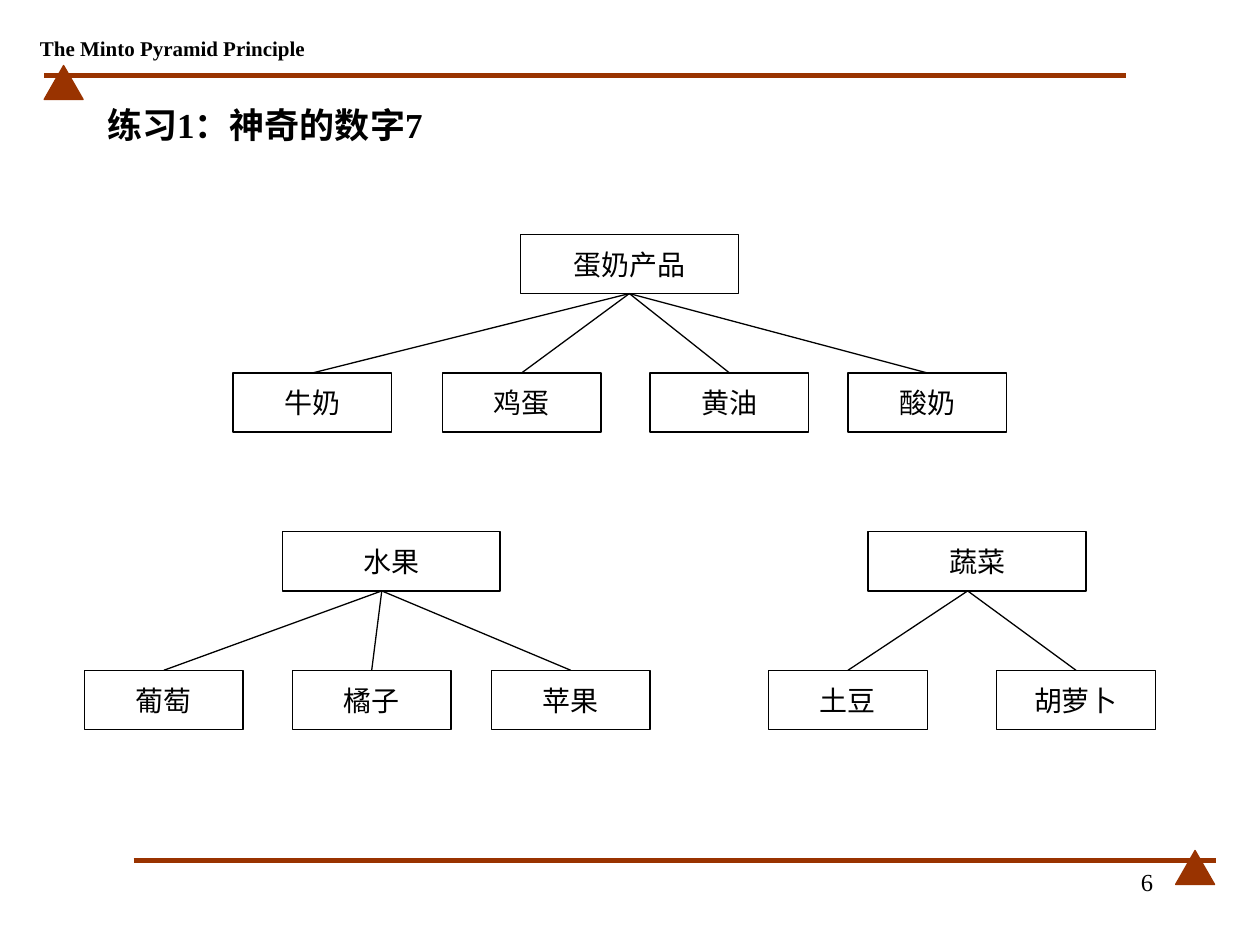
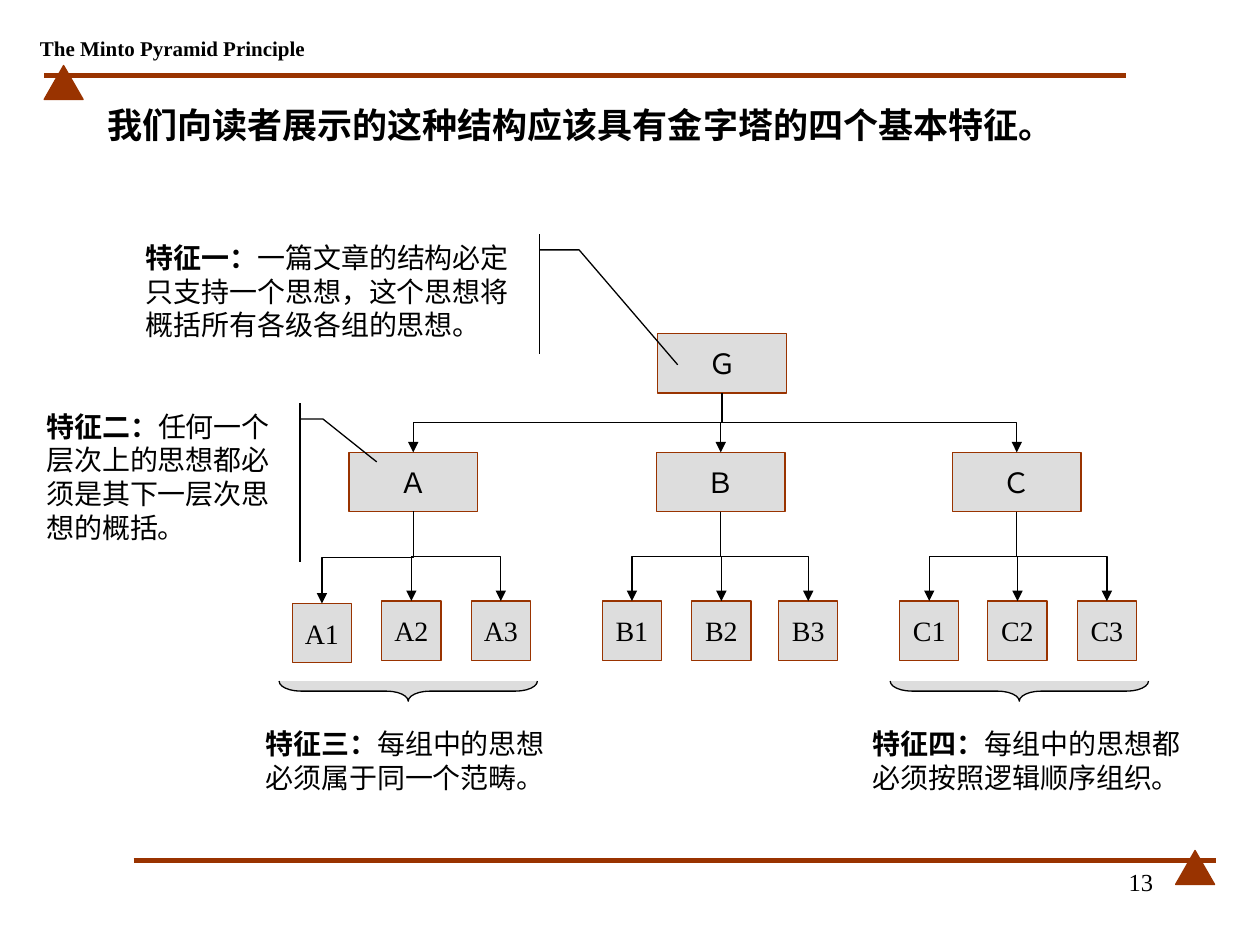
from dataclasses import dataclass

from pptx import Presentation
from pptx.dml.color import RGBColor
from pptx.enum.shapes import MSO_CONNECTOR, MSO_SHAPE
from pptx.enum.text import MSO_ANCHOR, MSO_AUTO_SIZE, PP_ALIGN
from pptx.oxml.ns import qn
from pptx.util import Inches, Pt

RECT, TRIANGLE = MSO_SHAPE.RECTANGLE, MSO_SHAPE.ISOSCELES_TRIANGLE
BRACE, CALLOUT = MSO_SHAPE.LEFT_BRACE, MSO_SHAPE.LINE_CALLOUT_2_ACCENT_BAR
STRAIGHT, ELBOW = MSO_CONNECTOR.STRAIGHT, MSO_CONNECTOR.ELBOW
LEFT, CENTER, RIGHT = PP_ALIGN.LEFT, PP_ALIGN.CENTER, PP_ALIGN.RIGHT
TOP, MIDDLE = MSO_ANCHOR.TOP, MSO_ANCHOR.MIDDLE
NO_AUTOFIT = MSO_AUTO_SIZE.NONE

BLACK = RGBColor(0x00, 0x00, 0x00)
RUST = RGBColor(0x99, 0x33, 0x00)
GREY = RGBColor(0xDD, 0xDD, 0xDD)
FONT = "Times New Roman"
BOX_HEIGHT = 0.47
TITLE_ONLY = 5


@dataclass(frozen=True)
class Node:
    text: str
    left: float
    top: float
    width: float

    @property
    def center(self) -> float:
        return self.left + self.width / 2

    @property
    def bottom(self) -> float:
        return self.top + BOX_HEIGHT


@dataclass(frozen=True)
class Tree:
    root: Node
    children: list[Node]
    apex: float | None = None


@dataclass(frozen=True)
class Feature:
    lead: str
    text: str
    box: tuple[float, float, float, float]
    pointer: tuple[float, ...] = ()


def category(text: str, left: float, top: float) -> Node:
    return Node(text, left, top, 1.73)


def items(top: float, **lefts: float) -> list[Node]:
    return [Node(text, left, top, 1.26) for text, left in lefts.items()]


def leaves(**lefts: float) -> list[Node]:
    return [Node(text, left, 4.77, 0.47) for text, left in lefts.items()]


FOOD_TREES = [
    Tree(category("蛋奶产品", 4.13, 1.86),
         items(2.96, 牛奶=1.85, 鸡蛋=3.51, 黄油=5.16, 酸奶=6.73)),
    Tree(category("水果", 2.24, 4.22),
         items(5.32, 葡萄=0.67, 橘子=2.32, 苹果=3.9), apex=3.03),
    Tree(category("蔬菜", 6.89, 4.22),
         items(5.32, 土豆=6.1, 胡萝卜=7.91), apex=7.68),
]

GOAL = Node("Ｇ", 5.22, 2.65, 1.02)
BRANCHES = [
    Tree(Node("Ａ", 2.77, 3.59, 1.02),
         [Node("A1", 2.32, 4.79, 0.47), *leaves(A2=3.03, A3=3.74)]),
    Tree(Node("Ｂ", 5.21, 3.59, 1.02), leaves(B1=4.78, B2=5.49, B3=6.18)),
    Tree(Node("Ｃ", 7.56, 3.59, 1.02), leaves(C1=7.14, C2=7.84, C3=8.55)),
]
FEATURES = [
    Feature("特征一：", "一篇文章的结构必定只支持一个思想，这个思想将概括所有各级各组的思想。",
            (1.06, 1.86, 3.13, 0.95), (0.13, 1.03, 0.13, 1.13, 1.09, 1.38)),
    Feature("特征二：", "任何一个层次上的思想都必须是其下一层次思想的概括。",
            (0.27, 3.2, 2.03, 1.26), (0.1, 1.04, 0.1, 1.13, 0.37, 1.34)),
    Feature("特征三：", "每组中的思想必须属于同一个范畴。", (2.01, 5.72, 2.43, 0.79)),
    Feature("特征四：", "每组中的思想都必须按照逻辑顺序组织。", (6.83, 5.72, 2.68, 0.87)),
]


def write(tf, text: str, *, lead: str = "", size: float = 16, bold: bool = False,
          align=LEFT, anchor=TOP, wrap: bool = True) -> None:
    tf.word_wrap = wrap
    tf.auto_size = NO_AUTOFIT
    tf.vertical_anchor = anchor
    p = tf.paragraphs[0]
    p.alignment = align
    for part, heavy in ((lead, True), (text, bold)):
        if part:
            r = p.add_run()
            r.text = part
            r.font.name = FONT
            r.font.size = Pt(size)
            r.font.bold = heavy
            r.font.color.rgb = BLACK


def add_shape(s, kind, left: float, top: float, width: float, height: float, *,
              fill: RGBColor | None = None, line: RGBColor = BLACK):
    sp = s.shapes.add_shape(kind, Inches(left), Inches(top), Inches(width), Inches(height))
    sp.shadow.inherit = False
    if fill is None:
        sp.fill.background()
    else:
        sp.fill.solid()
        sp.fill.fore_color.rgb = fill
    sp.line.color.rgb = line
    sp.line.width = Pt(0.75)
    return sp


def add_label(s, left: float, top: float, width: float, height: float, text: str, **style) -> None:
    box = s.shapes.add_textbox(Inches(left), Inches(top), Inches(width), Inches(height))
    write(box.text_frame, text, **style)


def add_node(s, node: Node, **colors):
    sp = add_shape(s, RECT, node.left, node.top, node.width, BOX_HEIGHT, **colors)
    write(sp.text_frame, node.text, align=CENTER, anchor=MIDDLE, wrap=False)
    return sp


def add_line(s, x1: float, y1: float, x2: float, y2: float, *, kind=STRAIGHT,
             color: RGBColor = BLACK, weight: float = 0.75):
    cxn = s.shapes.add_connector(kind, Inches(x1), Inches(y1), Inches(x2), Inches(y2))
    cxn.line.color.rgb = color
    cxn.line.width = Pt(weight)
    sp_pr = cxn._element.spPr
    sp_pr.append(sp_pr.makeelement(qn("a:effectLst"), {}))
    return cxn


def add_elbow_arrow(s, parent: Node, child: Node) -> None:
    mid_x = (parent.center + child.center) / 2
    mid_y = (parent.bottom + child.top) / 2
    half_drop = (child.top - parent.bottom) / 2
    half_shift = (parent.center - child.center) / 2
    cxn = add_line(s, mid_x - half_drop, mid_y - half_shift,
                   mid_x + half_drop, mid_y + half_shift, kind=ELBOW)
    cxn.rotation = 90
    ln = cxn.line._get_or_add_ln()
    ln.append(ln.makeelement(qn("a:tailEnd"), {"type": "triangle"}))


def add_food_tree(s, tree: Tree) -> None:
    root = add_node(s, tree.root)
    apex = tree.root.center if tree.apex is None else tree.apex
    for child in tree.children:
        sp = add_node(s, child)
        cxn = add_line(s, apex, tree.root.bottom, child.center, child.top)
        if tree.apex is None:
            cxn.begin_connect(root, 2)
        cxn.end_connect(sp, 0)


def add_feature(s, feature: Feature) -> None:
    if not feature.pointer:
        add_label(s, *feature.box, feature.text, lead=feature.lead)
        return
    sp = add_shape(s, CALLOUT, *feature.box)
    for i, value in enumerate(feature.pointer):
        sp.adjustments[i] = value
    write(sp.text_frame, feature.text, lead=feature.lead)


def add_framed_slide(prs, title: str, number: int):
    s = prs.slides.add_slide(prs.slide_layouts[TITLE_ONLY])
    for line_left, line_y, triangle_left in ((0.35, 0.6, 0.35), (1.06, 6.83, 9.33)):
        add_line(s, line_left, line_y, line_left + 8.59, line_y, color=RUST, weight=3)
        add_shape(s, TRIANGLE, triangle_left, line_y - 0.08, 0.31, 0.27, fill=RUST, line=RUST)
    add_label(s, 0.23, 0.24, 2.28, 0.28, "The Minto Pyramid Principle",
              size=12, bold=True, align=CENTER, anchor=MIDDLE, wrap=False)
    add_label(s, 7.17, 6.83, 2.08, 0.5, str(number), size=14, align=RIGHT)
    t = s.shapes.title
    t.left, t.top, t.width, t.height = Inches(0.75), Inches(0.67), Inches(8.74), Inches(0.64)
    write(t.text_frame, title, size=20, bold=True, anchor=MIDDLE)
    return s


def build_exercise(prs) -> None:
    s = add_framed_slide(prs, "练习1：神奇的数字7", 6)
    for tree in FOOD_TREES:
        add_food_tree(s, tree)


def build_features(prs) -> None:
    s = add_framed_slide(prs, "我们向读者展示的这种结构应该具有金字塔的四个基本特征。", 13)
    add_node(s, GOAL, fill=GREY, line=RUST)
    for branch in BRANCHES:
        add_node(s, branch.root, fill=GREY, line=RUST)
        add_elbow_arrow(s, GOAL, branch.root)
        for leaf in branch.children:
            add_node(s, leaf, fill=GREY, line=RUST)
            add_elbow_arrow(s, branch.root, leaf)
    for left in (3.16, 8.01):
        brace = add_shape(s, BRACE, left, 4.46, 0.16, 2.05, fill=GREY)
        brace.adjustments[0] = 1.08
        brace.rotation = 270
    for feature in FEATURES:
        add_feature(s, feature)


def main() -> None:
    prs = Presentation()
    prs.slide_width, prs.slide_height = Inches(10), Inches(7.5)
    build_exercise(prs)
    build_features(prs)
    prs.save("out.pptx")


if __name__ == "__main__":
    main()
